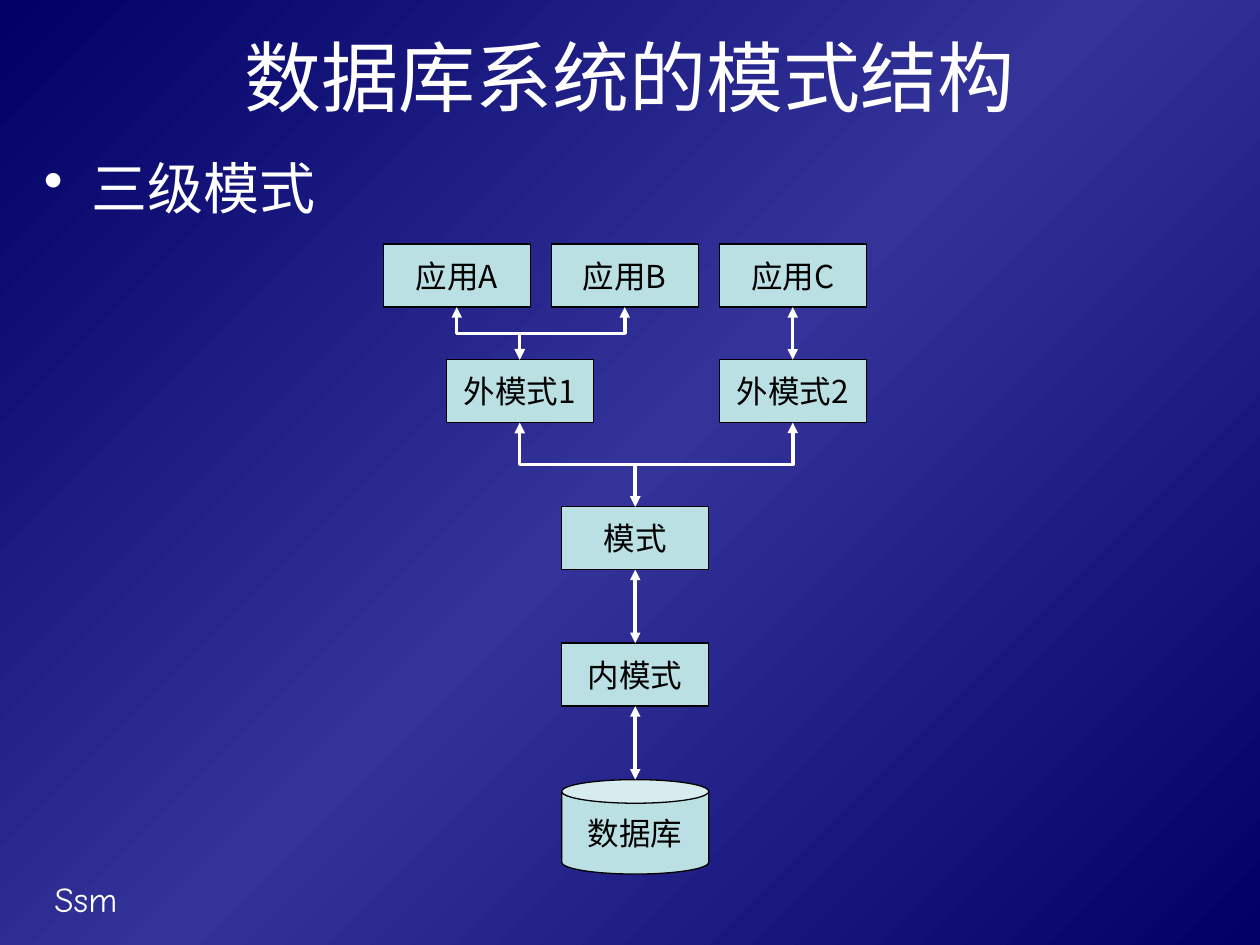
from copy import deepcopy
from lxml.etree import SubElement
from pptx import Presentation
from pptx.dml.color import RGBColor
from pptx.enum.shapes import MSO_CONNECTOR as Connector, MSO_SHAPE as Shape
from pptx.enum.text import MSO_ANCHOR as Anchor, MSO_AUTO_SIZE as AutoSize, PP_ALIGN as Align
from pptx.oxml.ns import qn
from pptx.util import Pt

CJK_FONT = "Noto Sans CJK SC"
WHITE, BLACK, PALE_BLUE = "FFFFFF", "000000", "BBE0E3"
NAVY, INDIGO = "000066", "333399"
BOX_WIDTH, BOX_HEIGHT = 84, 36


def color(hex_string):
    """Return the RGB colour for a hex string."""
    return RGBColor.from_string(hex_string)


def write(shape, text, size, hex_color, font_name=CJK_FONT, align=Align.LEFT):
    """Put one formatted paragraph into a shape and return it."""
    frame = shape.text_frame
    frame.auto_size = AutoSize.NONE
    frame.text = text
    paragraph = frame.paragraphs[0]
    paragraph.alignment = align
    paragraph.font.name = font_name
    paragraph.font.size = Pt(size)
    paragraph.font.color.rgb = color(hex_color)
    default_run = paragraph._p.pPr.find(qn("a:defRPr"))
    SubElement(default_run, qn("a:ea"), typeface=font_name)
    return paragraph


presentation = Presentation()
presentation.slide_width, presentation.slide_height = Pt(720), Pt(540)
slide = presentation.slides.add_slide(presentation.slide_layouts[5])
shapes = slide.shapes

# Diagonal three-stop background
background = slide.background.fill
background.gradient()
background.gradient_angle = 315
stop_list = slide._element.find(".//" + qn("a:gsLst"))
stop_list.append(deepcopy(stop_list[0]))
for stop, position, shade in zip(background.gradient_stops, (0, 0.5, 1), (NAVY, INDIGO, NAVY)):
    stop.position = position
    stop.color.rgb = color(shade)

# Title, bullet and footer
title = shapes.title
title.left, title.top, title.width, title.height = Pt(36), Pt(12), Pt(648), Pt(63)
write(title, "数据库系统的模式结构", 44, WHITE, align=Align.CENTER)
title.text_frame.vertical_anchor = Anchor.MIDDLE

body = shapes.add_textbox(Pt(18), Pt(84), Pt(690), Pt(414))
bullet = write(body, "三级模式", 32, WHITE)
body.text_frame.word_wrap = True
bullet.space_before = Pt(8)
bullet_properties = bullet._p.pPr
bullet_properties.set("marL", str(Pt(27)))
bullet_properties.set("indent", str(Pt(-27)))
bullet_character = SubElement(bullet_properties, qn("a:buChar"), char="•")
bullet_properties.find(qn("a:defRPr")).addprevious(bullet_character)
bullet_color = bullet_character.makeelement(qn("a:buClr"))
SubElement(bullet_color, qn("a:srgbClr"), val=WHITE)
bullet_character.addprevious(bullet_color)

footer = shapes.add_textbox(Pt(24), Pt(498), Pt(150), Pt(31.5))
write(footer, "Ssm", 20, WHITE, "Comic Neue").space_before = Pt(12.5)

# Boxes: text, centre x, top, height, preset
boxes = [
    ("应用A", 261, 139.5, BOX_HEIGHT, Shape.RECTANGLE),
    ("应用B", 357, 139.5, BOX_HEIGHT, Shape.RECTANGLE),
    ("应用C", 453, 139.5, BOX_HEIGHT, Shape.RECTANGLE),
    ("外模式1", 297, 205.5, BOX_HEIGHT, Shape.RECTANGLE),
    ("外模式2", 453, 205.5, BOX_HEIGHT, Shape.RECTANGLE),
    ("模式", 363, 289.5, BOX_HEIGHT, Shape.RECTANGLE),
    ("内模式", 363, 367.5, BOX_HEIGHT, Shape.RECTANGLE),
    ("数据库", 363, 445.5, 54, Shape.CAN),
]
places = {}
for text, center, top, height, preset in boxes:
    box = shapes.add_shape(preset, Pt(center - BOX_WIDTH / 2), Pt(top), Pt(BOX_WIDTH), Pt(height))
    box.shadow.inherit = False
    box.fill.solid()
    box.fill.fore_color.rgb = color(PALE_BLUE)
    box.line.color.rgb = color(BLACK)
    box.line.width = Pt(0.74)
    write(box, text, 18, BLACK, align=Align.CENTER)
    box.text_frame.vertical_anchor = Anchor.MIDDLE
    box.text_frame.word_wrap = False
    places[text] = center, top, top + height

# Double-headed arrows from an upper box down to a lower one
links = [
    ("应用A", "外模式1"), ("应用B", "外模式1"), ("应用C", "外模式2"),
    ("外模式1", "模式"), ("外模式2", "模式"), ("模式", "内模式"), ("内模式", "数据库"),
]
for upper, lower in links:
    start_x, _, start_y = places[upper]
    end_x, end_y, _ = places[lower]
    if start_x == end_x:
        arrow = shapes.add_connector(Connector.STRAIGHT, Pt(start_x), Pt(start_y), Pt(end_x), Pt(end_y))
    else:
        # An elbow leaves sideways, so lay it flat about its centre and turn it 90 degrees
        middle_x, middle_y = (start_x + end_x) / 2, (start_y + end_y) / 2
        half_run, half_rise = (end_y - start_y) / 2, (end_x - start_x) / 2
        arrow = shapes.add_connector(
            Connector.ELBOW, Pt(middle_x - half_run), Pt(middle_y + half_rise),
            Pt(middle_x + half_run), Pt(middle_y - half_rise))
        arrow._element.spPr.find(qn("a:xfrm")).set("rot", "5400000")
    arrow.line.color.rgb = color(WHITE)
    arrow.line.width = Pt(2)
    line = arrow._element.spPr.find(qn("a:ln"))
    for end in ("a:headEnd", "a:tailEnd"):
        SubElement(line, qn(end), type="triangle")
    SubElement(arrow._element.spPr, qn("a:effectLst"))

presentation.save("out.pptx")
